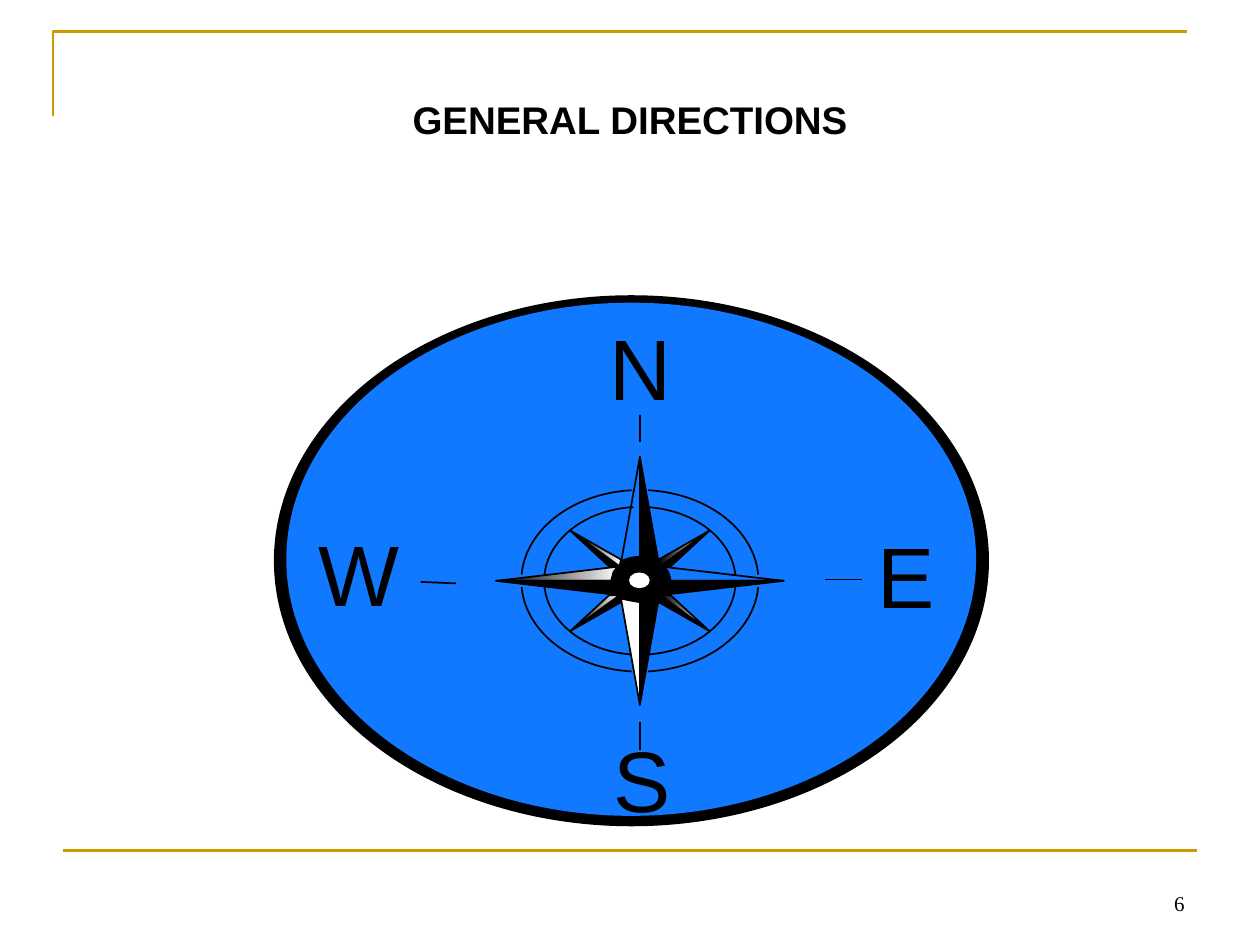
from itertools import product
from math import cos, radians, sin

from lxml import etree
from pptx import Presentation
from pptx.dml.color import RGBColor
from pptx.enum.shapes import MSO_CONNECTOR, MSO_SHAPE
from pptx.enum.text import MSO_ANCHOR, MSO_AUTO_SIZE, PP_ALIGN
from pptx.oxml.ns import qn
from pptx.util import Cm, Pt

STRAIGHT = MSO_CONNECTOR.STRAIGHT
OVAL = MSO_SHAPE.OVAL
TOP, MIDDLE, BOTTOM = MSO_ANCHOR.TOP, MSO_ANCHOR.MIDDLE, MSO_ANCHOR.BOTTOM
LEFT, CENTER, RIGHT = PP_ALIGN.LEFT, PP_ALIGN.CENTER, PP_ALIGN.RIGHT
FIT_SHAPE = MSO_AUTO_SIZE.SHAPE_TO_FIT_TEXT

BLACK = RGBColor(0x00, 0x00, 0x00)
WHITE = RGBColor(0xFF, 0xFF, 0xFF)
BLUE = RGBColor(0x10, 0x79, 0xFF)
GOLD = RGBColor(0xCC, 0x99, 0x00)
SHADED = (WHITE, BLACK)

# Compass centre and, as distances from it, the parts of the rose (cm)
CENTER_X, CENTER_Y = 12.9, 11.71
VERTICAL_HALF = [(0.39, 0.31), (0, 2.5), (0, 0.43), (0.23, 0.39), (0.36, 0.36)]
HORIZONTAL_HALF = [(0.41, 0.29), (2.9, 0), (0.58, 0), (0.53, 0.18), (0.46, 0.27)]
DIAGONAL_STEEP = [(0.38, 0.43), (1.4, 1.01), (0.41, 0.29)]
DIAGONAL_FLAT = [(0.62, 0.29), (1.4, 1.01), (0.41, 0.29)]
RINGS = [(2.39, 1.83), (1.93, 1.49)]

# Fill of each half needle by the quadrant (right, down) it lies in
VERTICAL_FILLS = {(-1, -1): None, (1, -1): BLACK, (1, 1): BLACK, (-1, 1): WHITE}
HORIZONTAL_FILLS = {(-1, -1): SHADED, (1, -1): None, (1, 1): BLACK, (-1, 1): BLACK}


class SlideBuilder:
    """Holds the style and the current slide; lengths are in centimetres."""

    def __init__(self, slide, font="Arial", color=BLACK, line_width=1):
        self.slide = slide
        self.shapes = slide.shapes
        self.font = font
        self.color = color
        self.line_width = line_width

    def paint(self, shape, fill, line_color, line_width):
        """Fill with a colour, a pair of gradient colours, or nothing."""
        shape.shadow.inherit = False
        if fill is None:
            shape.fill.background()
        elif fill is SHADED:
            shape.fill.gradient()
            shape.fill.gradient_angle = 180
            for stop, color in zip(shape.fill.gradient_stops, fill):
                stop.color.rgb = color
        else:
            shape.fill.solid()
            shape.fill.fore_color.rgb = fill
        shape.line.color.rgb = line_color or self.color
        shape.line.width = Pt(line_width or self.line_width)

    def ellipse(self, left, top, width, height, color, line_width=None):
        shape = self.shapes.add_shape(OVAL, Cm(left), Cm(top), Cm(width), Cm(height))
        self.paint(shape, color, color, line_width)

    def outline(self, points, fill=None, closed=False, line_color=None, line_width=None):
        corners = [(Cm(x), Cm(y)) for x, y in points]
        builder = self.shapes.build_freeform(*corners[0])
        builder.add_line_segments(corners[1:], close=closed)
        self.paint(builder.convert_to_shape(), fill, line_color, line_width)

    def line(self, x1, y1, x2, y2, color=None, width=None):
        connector = self.shapes.add_connector(STRAIGHT, Cm(x1), Cm(y1), Cm(x2), Cm(y2))
        connector.line.color.rgb = color or self.color
        connector.line.width = Pt(width or self.line_width)
        etree.SubElement(connector._element.spPr, qn("a:effectLst"))

    def text(self, text, left, top, width, height, size, bold=False, font=None,
             align=LEFT, anchor=TOP, margins=(0, 0), fit=True):
        box = self.shapes.add_textbox(Cm(left), Cm(top), Cm(width), Cm(height))
        frame = box.text_frame
        frame.text = text
        frame.word_wrap = True
        frame.vertical_anchor = anchor
        frame.margin_left = frame.margin_right = Cm(margins[0])
        frame.margin_top = frame.margin_bottom = Cm(margins[1])
        if fit:
            frame.auto_size = FIT_SHAPE
        paragraph = frame.paragraphs[0]
        paragraph.alignment = align
        for run in paragraph.runs:
            run.font.name = font or self.font
            run.font.size = Pt(size)
            run.font.bold = bold
            run.font.color.rgb = self.color

    def rose_part(self, offsets, quadrant, fill=None, closed=True):
        """Mirror offsets from the compass centre into one quadrant."""
        right, down = quadrant
        points = [(CENTER_X + right * x, CENTER_Y + down * y) for x, y in offsets]
        self.outline(points, fill, closed)


def quarter_arc(radius_x, radius_y):
    return [(radius_x * cos(radians(angle)), radius_y * sin(radians(angle)))
            for angle in range(4, 87, 2)]


def draw_frame(builder):
    builder.outline([(1.07, 2.34), (1.07, 0.64), (23.93, 0.64)],
                    line_color=GOLD, line_width=1.5)
    builder.line(1.27, 17.15, 24.13, 17.15, GOLD, 1.5)


def draw_compass(builder):
    builder.ellipse(5.54, 5.97, 14.38, 10.67, BLACK)
    builder.ellipse(5.79, 6.12, 13.87, 10.31, BLUE)
    builder.ellipse(12.32, 11.28, 1.14, 0.86, BLACK, 4)
    builder.ellipse(12.7, 11.56, 0.38, 0.28, WHITE)

    for quadrant in product((-1, 1), repeat=2):
        for radii in RINGS:
            builder.rose_part(quarter_arc(*radii), quadrant, closed=False)
        north = quadrant[1] < 0
        builder.rose_part(DIAGONAL_STEEP, quadrant, SHADED if north else BLACK)
        builder.rose_part(DIAGONAL_FLAT, quadrant, BLACK if north else SHADED)
        builder.rose_part(VERTICAL_HALF, quadrant, VERTICAL_FILLS[quadrant])
        builder.rose_part(HORIZONTAL_HALF, quadrant, HORIZONTAL_FILLS[quadrant])

    for tick in [(12.9, 8.92, 12.9, 8.36), (12.9, 15.11, 12.9, 14.55),
                 (17.37, 11.68, 16.64, 11.68), (8.48, 11.73, 9.19, 11.76)]:
        builder.line(*tick)

    for letter, left, top, width in [("N", 12.29, 6.35, 1.5), ("S", 12.37, 14.66, 1.68),
                                     ("W", 6.43, 10.49, 1.85), ("E", 17.7, 10.54, 1.52)]:
        builder.text(letter, left, top, width, 2.08, 49)


def main():
    presentation = Presentation()
    presentation.slide_width, presentation.slide_height = Cm(25.4), Cm(19.05)
    slide = presentation.slides.add_slide(presentation.slide_layouts[6])
    builder = SlideBuilder(slide)
    draw_frame(builder)
    draw_compass(builder)
    builder.text("GENERAL DIRECTIONS", 1.12, 1.93, 23.16, 0.94, 22, bold=True,
                 align=CENTER, anchor=MIDDLE)
    builder.text("6", 18.21, 17.35, 5.92, 1.24, 12, font="Times New Roman",
                 align=RIGHT, anchor=BOTTOM, margins=(0.25, 0.13), fit=False)
    presentation.save("out.pptx")


if __name__ == "__main__":
    main()
